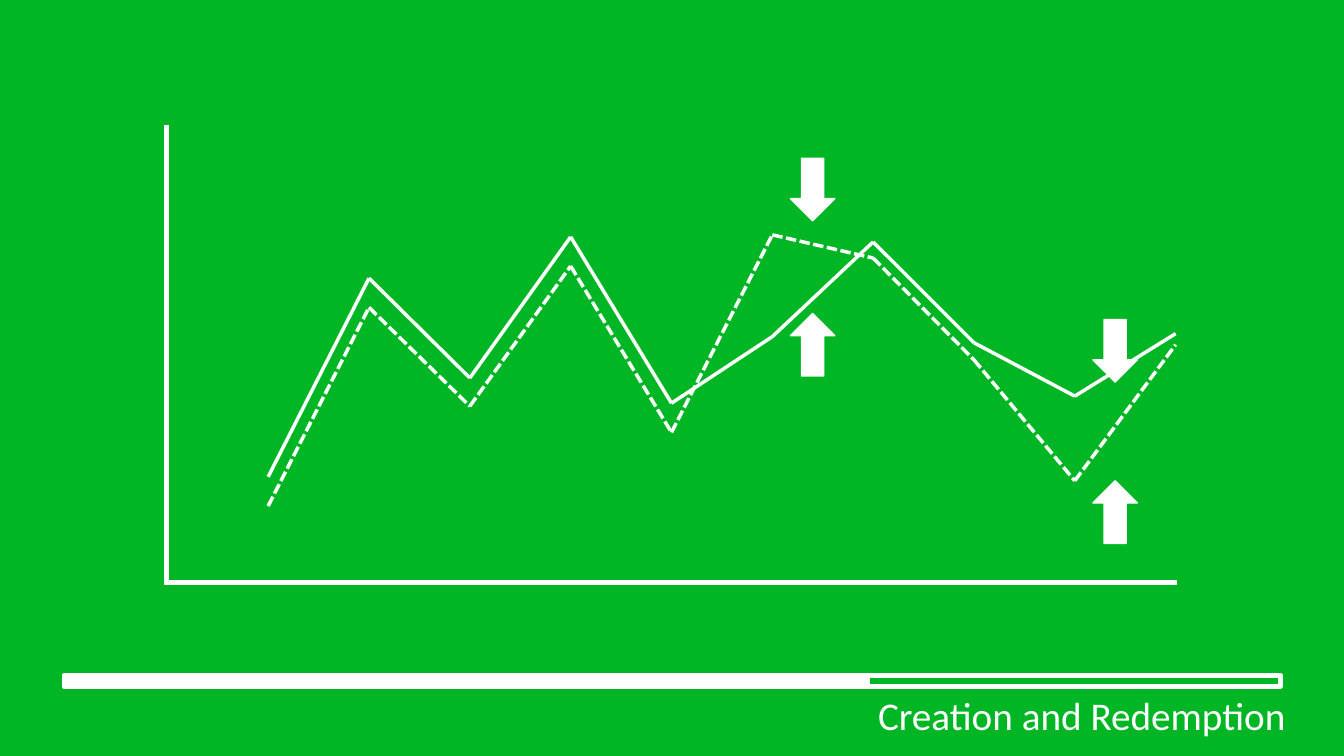
from itertools import pairwise

from lxml import etree
from pptx import Presentation
from pptx.dml.color import RGBColor
from pptx.enum.dml import MSO_LINE
from pptx.enum.shapes import MSO_CONNECTOR, MSO_SHAPE
from pptx.enum.text import MSO_AUTO_SIZE
from pptx.oxml.ns import qn
from pptx.util import Inches, Pt

RECT = MSO_SHAPE.RECTANGLE
UP = MSO_SHAPE.UP_ARROW
DOWN = MSO_SHAPE.DOWN_ARROW
STRAIGHT = MSO_CONNECTOR.STRAIGHT
DASH = MSO_LINE.SQUARE_DOT  # written as sysDash
NO_WRAP = MSO_AUTO_SIZE.SHAPE_TO_FIT_TEXT

GREEN, WHITE = "00B624", "FFFFFF"
FONT = "Calibri"

# Grid: one column and one row are an inch; the curves start at START
GRID = Inches(1)
START = 2.66
SOLID = [4.73, 2.76, 3.75, 2.35, 4, 3.34, 2.4, 3.4, 3.93, 3.31]
DASHED = [5.02, 3.05, 4.03, 2.64, 4.29, 2.33, 2.56, 3.57, 4.77, 3.42]

# Arrow pairs: column of the left side, top of the down and up arrow
PAIRS = [(7.84, 1.57, 3.11), (10.84, 3.17, 4.77)]
ARROW_W, ARROW_H = 0.44, 0.62

# Footer bar
BAR_X, BAR_Y, BAR_W, BAR_H = 0.64, 6.7, 12.06, 0.11
DONE_W = 7.97


def paint(hue):
    return RGBColor.from_string(hue)


def grid(*cells):
    return [round(cell * GRID) for cell in cells]


def add_form(slide, kind, box, width, fill=WHITE):
    form = slide.shapes.add_shape(kind, *grid(*box))
    form.shadow.inherit = False
    if fill:
        form.fill.solid()
        form.fill.fore_color.rgb = paint(fill)
    else:
        form.fill.background()
    form.line.color.rgb = paint(WHITE)
    form.line.width = Pt(width)


def add_line(slide, start, end, width, dash=None):
    line = slide.shapes.add_connector(STRAIGHT, *grid(*start, *end))
    line.line.color.rgb = paint(WHITE)
    line.line.width = Pt(width)
    if dash:
        line.line.dash_style = dash
    etree.SubElement(line._element.spPr, qn("a:effectLst"))


def add_curve(slide, rows, dash=None):
    points = [(START + col, row) for col, row in enumerate(rows)]
    for start, end in pairwise(points):
        add_line(slide, start, end, 2.5, dash)


def add_label(slide, text, box, size):
    frame = slide.shapes.add_textbox(*grid(*box)).text_frame
    frame.word_wrap = False
    frame.auto_size = NO_WRAP
    frame.text = text
    font = frame.paragraphs[0].runs[0].font
    font.name = FONT
    font.size = Pt(size)
    font.color.rgb = paint(WHITE)


def main():
    deck = Presentation()
    deck.slide_width, deck.slide_height = grid(13.33, 7.5)
    slide = deck.slides.add_slide(deck.slide_layouts[6])
    slide.background.fill.solid()
    slide.background.fill.fore_color.rgb = paint(GREEN)

    # Footer: outlined track, title and filled part
    add_form(slide, RECT, (BAR_X, BAR_Y, BAR_W, BAR_H), 3.25, None)
    add_label(slide, "Creation and Redemption",
              (BAR_X + DONE_W, BAR_Y + BAR_H, 4.29, 0.57), 28)
    add_form(slide, RECT, (BAR_X, BAR_Y, DONE_W, BAR_H), 3.25)

    # Axes
    add_line(slide, (1.65, 1.24), (1.65, 5.78), 3.5)
    add_line(slide, (1.63, 5.78), (11.67, 5.78), 3.5)

    # Curves
    add_curve(slide, SOLID)
    add_curve(slide, DASHED, DASH)

    # Arrows that close the gaps
    for col, high, low in PAIRS:
        for kind, row in ((UP, low), (DOWN, high)):
            add_form(slide, kind, (col, row, ARROW_W, ARROW_H), 1)

    deck.save("out.pptx")


if __name__ == "__main__":
    main()
